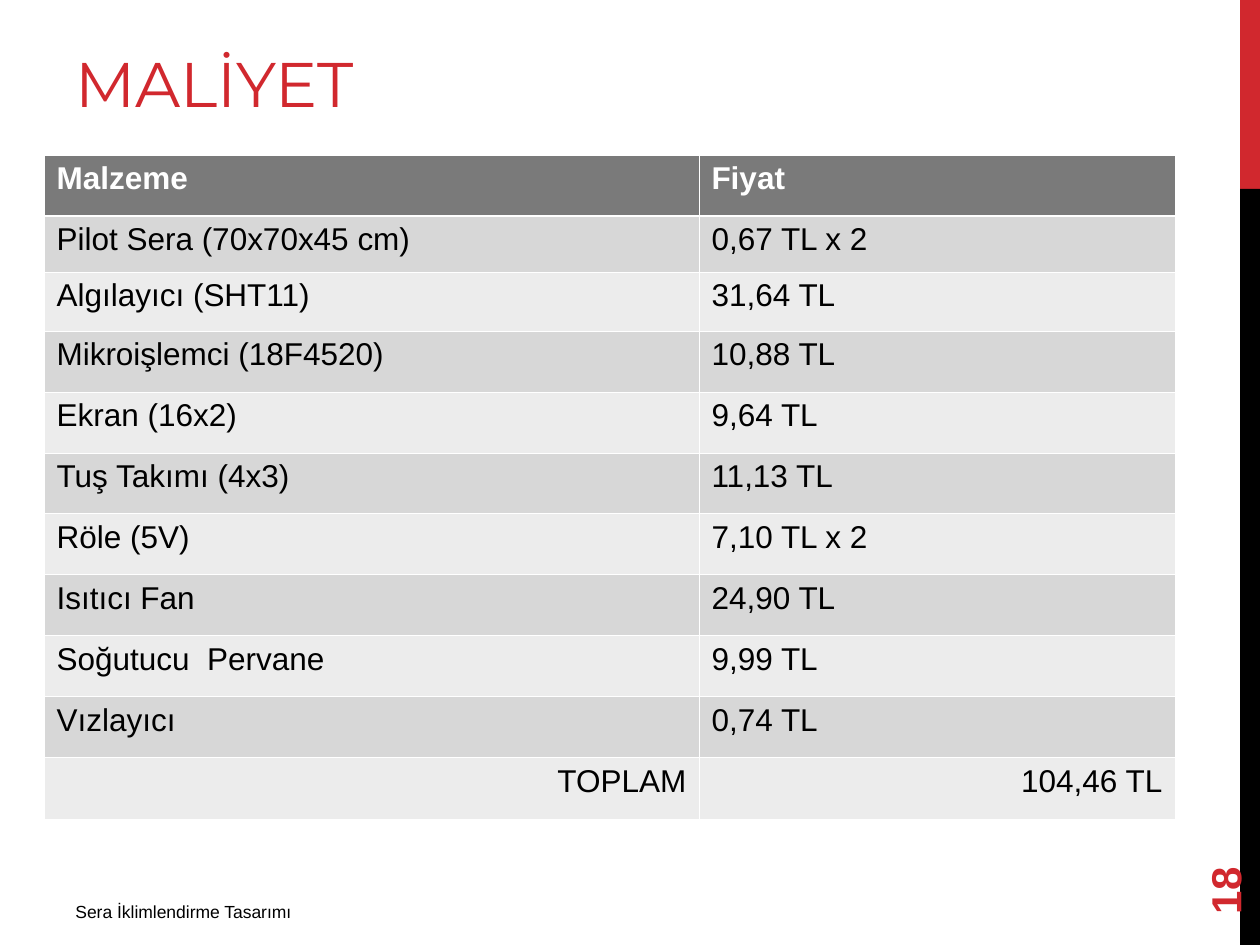
from lxml import etree
from pptx import Presentation
from pptx.dml.color import RGBColor
from pptx.enum.shapes import MSO_SHAPE
from pptx.enum.text import MSO_ANCHOR, PP_ALIGN
from pptx.oxml.ns import qn
from pptx.util import Pt

EMU_PER_PX = 914400 / 126
RED = RGBColor(0xD1, 0x28, 0x2E)
BLACK = RGBColor(0x00, 0x00, 0x00)
WHITE = RGBColor(0xFF, 0xFF, 0xFF)
HEADER_GRAY = RGBColor(0x7A, 0x7A, 0x7A)
DARK_BAND = RGBColor(0xD7, 0xD7, 0xD7)
LIGHT_BAND = RGBColor(0xEC, 0xEC, 0xEC)
RECTANGLE = MSO_SHAPE.RECTANGLE
TOP, MIDDLE, BOTTOM = MSO_ANCHOR.TOP, MSO_ANCHOR.MIDDLE, MSO_ANCHOR.BOTTOM
LEFT, RIGHT = PP_ALIGN.LEFT, PP_ALIGN.RIGHT
THIN, THICK = Pt(0.45), Pt(1.47)

COLUMN_WIDTHS = [655, 476]
ROW_HEIGHTS = [61, 56, 59] + [61] * 7 + [62]
COSTS = [
    ("Malzeme", "Fiyat"),
    ("Pilot Sera (70x70x45 cm)", "0,67 TL x 2"),
    ("Algılayıcı (SHT11)", "31,64 TL"),
    ("Mikroişlemci (18F4520)", "10,88 TL"),
    ("Ekran (16x2)", "9,64 TL"),
    ("Tuş Takımı (4x3)", "11,13 TL"),
    ("Röle (5V)", "7,10 TL x 2"),
    ("Isıtıcı Fan", "24,90 TL"),
    ("Soğutucu  Pervane", "9,99 TL"),
    ("Vızlayıcı", "0,74 TL"),
    ("TOPLAM", "104,46 TL"),
]


def px(length):
    return round(length * EMU_PER_PX)


class SlideBuilder:
    font_name = "Arial"

    def __init__(self, presentation):
        self.slide = presentation.slides.add_slide(presentation.slide_layouts[6])

    def bar(self, left, top, width, height, color):
        shape = self.slide.shapes.add_shape(
            RECTANGLE, px(left), px(top), px(width), px(height))
        shape.shadow.inherit = False
        shape.fill.solid()
        shape.fill.fore_color.rgb = color
        shape.line.fill.background()

    def fill_text(self, text_frame, text, color, alignment=LEFT, **font_format):
        paragraph = text_frame.paragraphs[0]
        paragraph.alignment = alignment
        run = paragraph.add_run()
        run.text = text
        run.font.color.rgb = color
        for name, value in {"name": self.font_name, **font_format}.items():
            setattr(run.font, name, value)

    def text(self, left, top, width, height, text, color, anchor=TOP,
             rotation=0, **font_format):
        shape = self.slide.shapes.add_textbox(
            px(left), px(top), px(width), px(height))
        shape.rotation = rotation
        shape.text_frame.word_wrap = True
        shape.text_frame.vertical_anchor = anchor
        self.fill_text(shape.text_frame, text, color, **font_format)

    def borders(self, cell, widths):
        properties = cell._tc.get_or_add_tcPr()
        for position, (side, width) in enumerate(widths.items()):
            line = etree.Element(qn(f"a:ln{side}"), w=str(width))
            fill = etree.SubElement(line, qn("a:solidFill"))
            etree.SubElement(fill, qn("a:srgbClr"), val=str(WHITE))
            properties.insert(position, line)

    def table(self, left, top, column_widths, row_heights, rows):
        table = self.slide.shapes.add_table(
            len(rows), len(column_widths), px(left), px(top),
            px(sum(column_widths)), px(sum(row_heights))).table
        for column, width in zip(table.columns, column_widths):
            column.width = px(width)
        for row, height in zip(table.rows, row_heights):
            row.height = px(height)
        for row_index, values in enumerate(rows):
            is_header = row_index == 0
            is_total = row_index == len(rows) - 1
            band = DARK_BAND if row_index % 2 else LIGHT_BAND
            for column_index, value in enumerate(values):
                cell = table.cell(row_index, column_index)
                cell.fill.solid()
                cell.fill.fore_color.rgb = HEADER_GRAY if is_header else band
                self.borders(cell, {
                    "L": THIN,
                    "R": THIN,
                    "T": THICK if row_index == 1 else THIN,
                    "B": THICK if is_header else THIN,
                })
                self.fill_text(cell.text_frame, value, WHITE if is_header else BLACK,
                               RIGHT if is_total else LEFT, size=Pt(18), bold=is_header)


def main():
    presentation = Presentation()
    presentation.slide_width = px(1260)
    presentation.slide_height = px(945)
    builder = SlideBuilder(presentation)
    builder.bar(1240, 0, 20, 189, RED)
    builder.bar(1240, 189, 20, 756, BLACK)
    builder.text(63, 21, 944, 105, "MALİYET", RED, BOTTOM,
                 name="Montserrat", size=Pt(36))
    builder.text(63, 895, 472, 39, "Sera İklimlendirme Tasarımı", BLACK, size=Pt(10))
    builder.text(1134, 811, 181, 50, "18", RED, MIDDLE, 270, size=Pt(24), bold=True)
    builder.table(44, 155, COLUMN_WIDTHS, ROW_HEIGHTS, COSTS)
    presentation.save("out.pptx")


if __name__ == "__main__":
    main()
